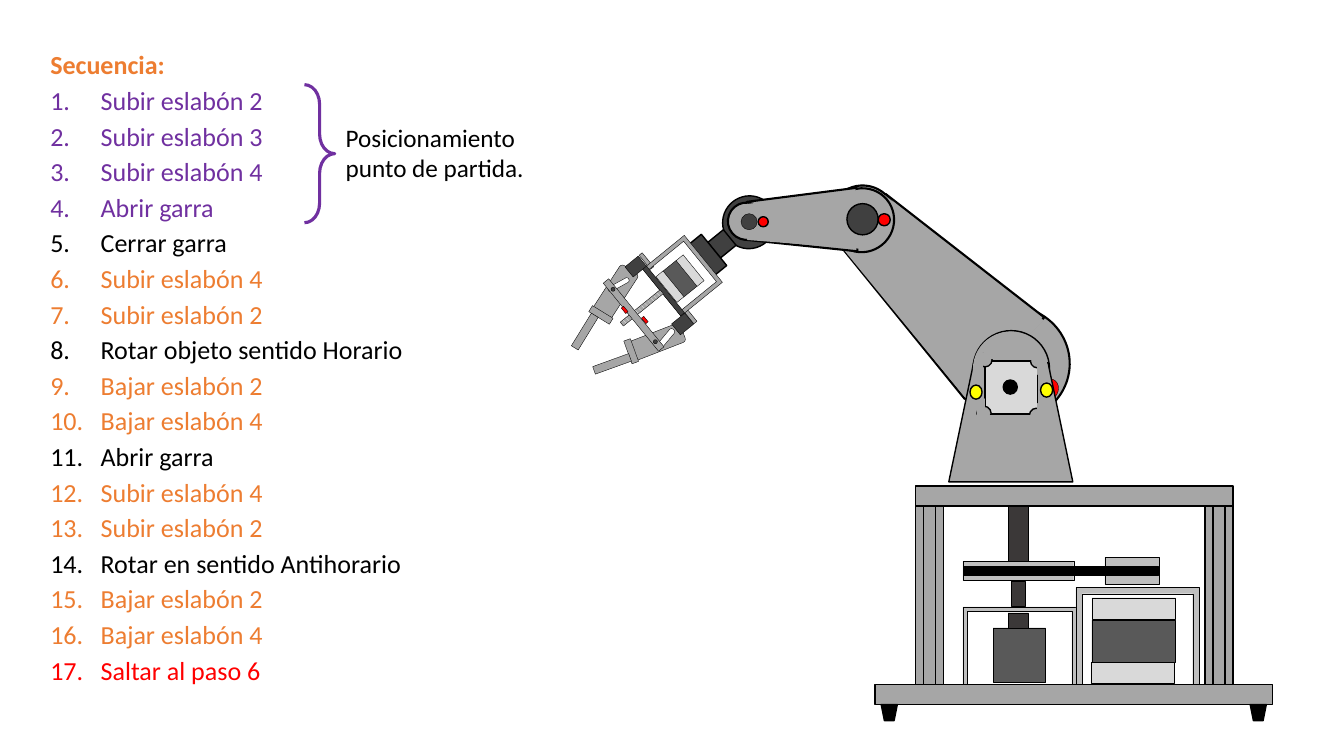
from dataclasses import dataclass
from typing import Any

import pptx
import pptx.dml.color
import pptx.enum.dml
import pptx.enum.shapes
import pptx.enum.text
import pptx.oxml.ns
import pptx.util
from lxml import etree

KIND = pptx.enum.shapes.MSO_SHAPE
RECT, OVAL, ROUND = KIND.RECTANGLE, KIND.OVAL, KIND.ROUNDED_RECTANGLE
TAPER, FRAME = KIND.FLOWCHART_MANUAL_OPERATION, KIND.FRAME


@dataclass(frozen=True)
class Theme:
    font: str = "Calibri"
    step_size: float = 18.6
    note_size: float = 18
    black: str = "000000"
    white: str = "FFFFFF"
    orange: str = "ED7D31"
    purple: str = "7030A0"
    red: str = "FF0000"
    yellow: str = "FFFF00"
    metal: str = "A6A6A6"
    bracket: str = "BFBFBF"
    light: str = "D9D9D9"
    motor: str = "595959"
    joint: str = "404040"
    shaft: str = "3B3838"
    hair: float = 0.25
    thin: float = 1
    medium: float = 1.5
    thick: float = 2.25


THEME = Theme()

STEPS = [
    ("Subir eslabón 2", THEME.purple), ("Subir eslabón 3", THEME.purple),
    ("Subir eslabón 4", THEME.purple), ("Abrir garra", THEME.purple),
    ("Cerrar garra", THEME.black),
    ("Subir eslabón 4", THEME.orange), ("Subir eslabón 2", THEME.orange),
    ("Rotar objeto sentido Horario", THEME.black),
    ("Bajar eslabón 2", THEME.orange), ("Bajar eslabón 4", THEME.orange),
    ("Abrir garra", THEME.black),
    ("Subir eslabón 4", THEME.orange), ("Subir eslabón 2", THEME.orange),
    ("Rotar en sentido Antihorario", THEME.black),
    ("Bajar eslabón 2", THEME.orange), ("Bajar eslabón 4", THEME.orange),
    ("Saltar al paso 6", THEME.red),
]


def px(length):
    """One px is a hundredth of an inch."""
    return pptx.util.Emu(length * 9144)


def rgb(value):
    return pptx.dml.color.RGBColor.from_string(value)


@dataclass
class Region:
    """A set of shapes placed from one left top corner."""
    shapes: Any
    left: int
    top: int

    def piece(self, kind, at, fill=None, line=THEME.black, weight=THEME.thin, turn=0, adjust=()):
        left, top, width, height = at
        shape = self.shapes.add_shape(
            kind, px(self.left + left), px(self.top + top), px(width), px(height))
        shape.shadow.inherit = False
        shape.rotation = turn
        for index, value in enumerate(adjust):
            shape.adjustments[index] = value
        if fill:
            shape.fill.solid()
            shape.fill.fore_color.rgb = rgb(fill)
        else:
            shape.fill.background()
        if line:
            shape.line.color.rgb = rgb(line)
            shape.line.width = pptx.util.Pt(weight)
        else:
            shape.line.fill.background()
        return shape


def new_group(page, left, top):
    return Region(page.shapes.add_group_shape().shapes, left, top)


def write(para, text, size, color=THEME.black, bold=False, numbered=False, spacing=None, before=None):
    if numbered:
        props = para._p.get_or_add_pPr()
        props.set("marL", str(px(50)))
        props.set("indent", str(px(-50)))
        etree.SubElement(props, pptx.oxml.ns.qn("a:buFont"), typeface="+mj-lt")
        etree.SubElement(props, pptx.oxml.ns.qn("a:buAutoNum"), type="arabicPeriod")
    if spacing:
        para.line_spacing = spacing
    if before:
        para.space_before = pptx.util.Pt(before)
    span = para.add_run()
    span.text = text
    span.font.name, span.font.bold = THEME.font, bold
    span.font.size = pptx.util.Pt(size)
    span.font.color.rgb = rgb(color)


def add_text_frame(page, left, top, width, height):
    box = page.shapes.add_textbox(px(left), px(top), px(width), px(height))
    box.text_frame.word_wrap = True
    return box.text_frame


def draw_upper_arm(page, left, top):
    arm = new_group(page, left, top)
    style = dict(fill=THEME.metal, weight=THEME.medium)
    arm.piece(OVAL, (125, 120, 116, 113), turn=5, **style)
    arm.piece(TAPER, (49, 3, 113, 198), turn=134.4, **style)
    arm.piece(OVAL, (2, 0, 67, 67), turn=5, **style)
    # Borderless-looking core hides the seams
    arm.piece(TAPER, (52, 4, 107, 198), turn=134.4, line=THEME.metal, **style)
    arm.piece(OVAL, (207, 193, 24, 20), THEME.red, weight=THEME.hair, turn=309.9)


def draw_shoulder(page, left, top):
    shoulder = new_group(page, left, top)
    # Pedestal
    shoulder.piece(ROUND, (24, 0, 76, 82), THEME.metal, adjust=[0.5])
    shoulder.piece(TAPER, (0, 32, 123, 118), THEME.metal, turn=180)
    shoulder.piece(ROUND, (24, 1, 74, 79), THEME.metal, line=None, adjust=[0.5])
    # Motor plate and its shaft
    shoulder.piece(RECT, (36, 30, 52, 53), THEME.light)
    shoulder.piece(OVAL, (54, 49, 14, 14), THEME.black)
    # Notched corners: a circle, then the two strips that trim it
    corners = [
        ((81, 23), (77, 23, 17, 6), (83, 31, 18, 7)),
        ((80, 77), (73, 84, 15, 7), (82, 79, 20, 7)),
        ((28, 75), (28, 84, 18, 5), (24, 73, 16, 6)),
        ((29, 22), (35, 22, 15, 6), (22, 28, 18, 5)),
    ]
    for corner, level, upright in corners:
        shoulder.piece(OVAL, (*corner, 14, 14), THEME.metal)
        shoulder.piece(RECT, level, THEME.metal, line=THEME.metal)
        shoulder.piece(RECT, upright, THEME.metal, line=THEME.metal, turn=90)
    # Position sensors
    for x, y in [(20, 55), (90, 53)]:
        shoulder.piece(OVAL, (x, y, 14, 12), THEME.yellow, turn=90)


def draw_base(page, left, top):
    base = new_group(page, left, top)
    # Motor brackets
    for at in [(87, 120, 113, 86), (199, 101, 122, 110)]:
        base.piece(FRAME, at, THEME.bracket, weight=THEME.hair, adjust=[0.055])
    # Plates, columns and feet
    for at in [(40, 0, 315, 20), (0, 197, 394, 20)]:
        base.piece(RECT, at, THEME.metal)
    for x in (40, 327):
        base.piece(RECT, (x, 20, 28, 177), THEME.metal)
        base.piece(RECT, (x + 8, 20, 12, 177), THEME.metal)
    for x in (6, 372):
        base.piece(TAPER, (x, 217, 16, 16), THEME.black)
    # Motors and pulleys
    for at, fill in [
        ((215, 133, 83, 42), THEME.motor), ((215, 111, 83, 21), THEME.light),
        ((214, 175, 83, 21), THEME.light), ((117, 141, 52, 54), THEME.motor),
        ((87, 75, 110, 19), THEME.bracket), ((228, 71, 54, 27), THEME.bracket),
    ]:
        base.piece(RECT, at, fill, weight=THEME.hair)
    # Belt and vertical shaft
    base.piece(RECT, (88, 80, 193, 9), THEME.black)
    for at in [(132, 20, 20, 55), (132, 126, 20, 15), (135, 95, 14, 24)]:
        base.piece(RECT, at, THEME.shaft, weight=THEME.hair)


def draw_gripper(page, left, top):
    gripper = new_group(page, left, top)
    tilt, hair = 50.9, THEME.hair
    # Fingers: body, slot, knuckle and tip
    fingers = [
        ((66, 118, 20, 54), 68.8, (81, 130, 6, 25), 39.9, (38, 151), (27, 148), 70.1),
        ((24, 69, 21, 54), 32.9, (35, 77, 5, 23), 61.2, (8, 115), (0, 116), 31.6),
    ]
    for body, body_turn, slot, slot_turn, knuckle, tip, tip_turn in fingers:
        gripper.piece(ROUND, body, THEME.metal, weight=hair, turn=body_turn)
        gripper.piece(ROUND, slot, THEME.white, weight=hair, turn=slot_turn, adjust=[0.405])
        gripper.piece(RECT, (*knuckle, 24, 7), THEME.metal, weight=hair, turn=tip_turn)
        gripper.piece(RECT, (*tip, 8, 38), THEME.metal, weight=hair, turn=tip_turn)
    # Wrist
    for kind, at in [(OVAL, (141, 0, 52, 53)), (RECT, (130, 38, 20, 20)), (RECT, (106, 51, 40, 16))]:
        gripper.piece(kind, at, THEME.joint, turn=tilt)
    # Palm, its motor and the lead screw
    for at in [(56, 63, 18, 4), (99, 117, 18, 4)]:
        gripper.piece(RECT, at, THEME.metal, weight=hair, turn=tilt)
    gripper.piece(FRAME, (71, 53, 60, 53), THEME.metal, weight=hair, turn=tilt, adjust=[0.079])
    for at, fill in [
        ((52, 92, 60, 5), THEME.joint), ((48, 62, 13, 17), THEME.joint),
        ((94, 119, 14, 17), THEME.joint), ((82, 74, 33, 17), THEME.motor),
        ((92, 70, 33, 9), THEME.light), ((72, 86, 33, 9), THEME.light),
    ]:
        gripper.piece(RECT, at, fill, weight=hair, turn=tilt)
    screw = gripper.piece(RECT, (58, 86, 5, 51), weight=hair, turn=tilt)
    screw.fill.patterned()
    screw.fill.pattern = pptx.enum.dml.MSO_PATTERN.WIDE_DOWNWARD_DIAGONAL
    screw.fill.fore_color.rgb = rgb(THEME.white)
    screw.fill.back_color.rgb = rgb(THEME.metal)
    # Crossbar, pins and contacts
    gripper.piece(RECT, (60, 122, 7, 3), THEME.red, weight=hair, turn=tilt)
    gripper.piece(RECT, (49, 75, 7, 87), THEME.metal, weight=hair, turn=tilt + 270)
    for x, y in [(30, 91), (72, 143)]:
        gripper.piece(OVAL, (x, y, 4, 4), THEME.joint, weight=hair, turn=tilt)
    gripper.piece(RECT, (40, 112, 7, 3), THEME.red, weight=hair, turn=tilt)


def draw_forearm(page, left, top):
    forearm = new_group(page, left, top)
    style = dict(fill=THEME.metal, weight=THEME.medium)
    forearm.piece(OVAL, (101, 0, 64, 63), turn=319.8, **style)
    forearm.piece(TAPER, (42, -23, 63, 109), turn=89.3, **style)
    forearm.piece(OVAL, (0, 14, 37, 37), turn=319.8, **style)
    forearm.piece(TAPER, (46, -23, 56, 110), turn=88.6, line=THEME.metal, **style)
    # Joint axles and sensors
    for x, y, size, fill, weight in [
        (118, 15, 31, THEME.joint, THEME.thin), (13, 25, 16, THEME.joint, THEME.hair),
        (149, 25, 12, THEME.red, THEME.thin), (30, 28, 10, THEME.red, THEME.thin),
    ]:
        forearm.piece(OVAL, (x, y, size, size), fill, weight=weight)


def draw_sequence(page, left, top, width, height):
    frame = add_text_frame(page, left, top, width, height)
    write(frame.paragraphs[0], "Secuencia:", THEME.step_size, color=THEME.orange, bold=True, spacing=0.7)
    for text, color in STEPS:
        write(frame.add_paragraph(), text, THEME.step_size, color=color,
              numbered=True, spacing=0.7, before=9.8)


def draw_start_note(page, left, top):
    Region(page.shapes, left, top).piece(
        KIND.RIGHT_BRACE, (0, 0, 30, 137), line=THEME.purple, weight=THEME.thick, adjust=[0.646, 0.5])
    frame = add_text_frame(page, left + 31, top + 32, 210, 71)
    write(frame.paragraphs[0], "Posicionamiento punto de partida.", THEME.note_size)


def main():
    deck = pptx.Presentation()
    deck.slide_width, deck.slide_height = px(1333), px(750)
    page = deck.slides.add_slide(deck.slide_layouts[6])
    draw_upper_arm(page, 820, 184)
    draw_shoulder(page, 941, 328)
    draw_base(page, 868, 482)
    draw_gripper(page, 576, 194)
    draw_forearm(page, 722, 187)
    draw_sequence(page, 40, 52, 389, 689)
    draw_start_note(page, 302, 84)
    deck.save("out.pptx")


if __name__ == "__main__":
    main()
